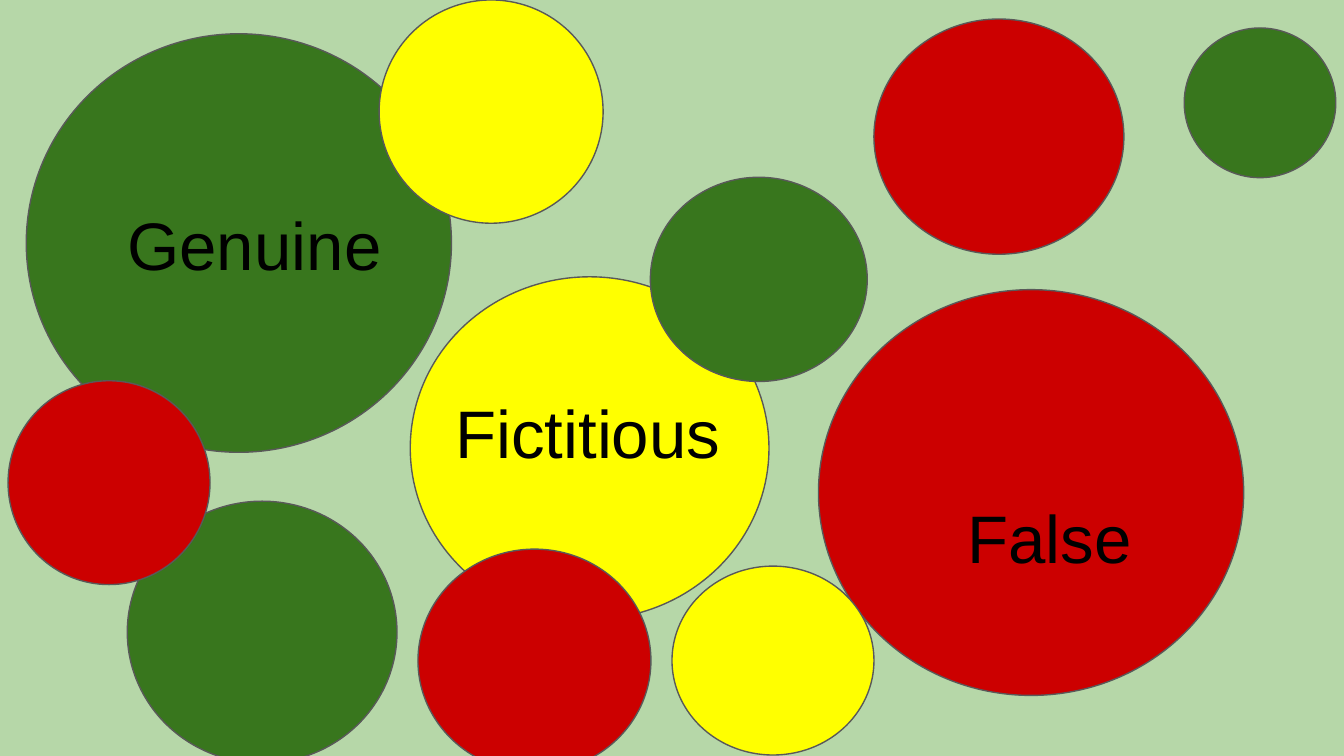
import pptx
import pptx.util
import pptx.dml.color
import pptx.enum.shapes

Pt = pptx.util.Pt
RGBColor = pptx.dml.color.RGBColor
MSO_SHAPE = pptx.enum.shapes.MSO_SHAPE

BACKGROUND = RGBColor(0xB6, 0xD7, 0xA8)
GREEN = RGBColor(0x38, 0x76, 0x1D)
YELLOW = RGBColor(0xFF, 0xFF, 0x00)
RED = RGBColor(0xCC, 0x00, 0x00)
OUTLINE = RGBColor(0x59, 0x59, 0x59)
BLACK = RGBColor(0x00, 0x00, 0x00)


class BubbleSlide:
    font = "Arial"
    size = 36
    inset = 7.2
    label_height = 66.24

    def __init__(self, prs):
        self.s = prs.slides.add_slide(prs.slide_layouts[6])
        fill = self.s.background.fill
        fill.solid()
        fill.fore_color.rgb = BACKGROUND

    def bubble(self, color, left, top, width, height):
        kind = MSO_SHAPE.FLOWCHART_CONNECTOR if color == YELLOW else MSO_SHAPE.OVAL
        sp = self.s.shapes.add_shape(kind, Pt(left), Pt(top), Pt(width), Pt(height))
        sp.shadow.inherit = False
        sp.fill.solid()
        sp.fill.fore_color.rgb = color
        sp.line.color.rgb = OUTLINE
        sp.line.width = Pt(0.75)

    def label(self, text, left, top, width):
        sp = self.s.shapes.add_textbox(Pt(left), Pt(top), Pt(width), Pt(self.label_height))
        tf = sp.text_frame
        tf.word_wrap = True
        tf.margin_left = tf.margin_right = Pt(self.inset)
        tf.margin_top = tf.margin_bottom = Pt(self.inset)
        tf.text = text
        r = tf.paragraphs[0].runs[0]
        r.font.name = self.font
        r.font.size = Pt(self.size)
        r.font.color.rgb = BLACK


def main():
    prs = pptx.Presentation()
    prs.slide_width = Pt(720)
    prs.slide_height = Pt(405)
    slide = BubbleSlide(prs)

    named_bubbles = [
        (RED, (438.5, 155.2, 227.8, 217.4), "False", (511.2, 258.5, 115.9)),
        (YELLOW, (219.8, 148.3, 192.2, 183.6), "Fictitious", (236.9, 202.3, 158.4)),
        (GREEN, (14.1, 18.1, 227.8, 224.2), "Genuine", (61.2, 101.5, 158.4)),
    ]
    for color, bubble_box, text, label_box in named_bubbles:
        slide.bubble(color, *bubble_box)
        slide.label(text, *label_box)

    plain_bubbles = [
        (GREEN, 68.2, 268.5, 144.5, 140.4),
        (GREEN, 348.4, 95, 116.2, 109.4),
        (GREEN, 634.4, 15, 81.2, 80.2),
        (YELLOW, 360, 303.3, 108.2, 101.2),
        (YELLOW, 203.1, 0, 120, 119.6),
        (RED, 468.2, 10.2, 133.9, 126),
        (RED, 223.9, 294.2, 124.8, 119.5),
        (RED, 4.3, 204, 108.2, 109.2),
    ]
    for color, *box in plain_bubbles:
        slide.bubble(color, *box)

    prs.save("out.pptx")


if __name__ == "__main__":
    main()
